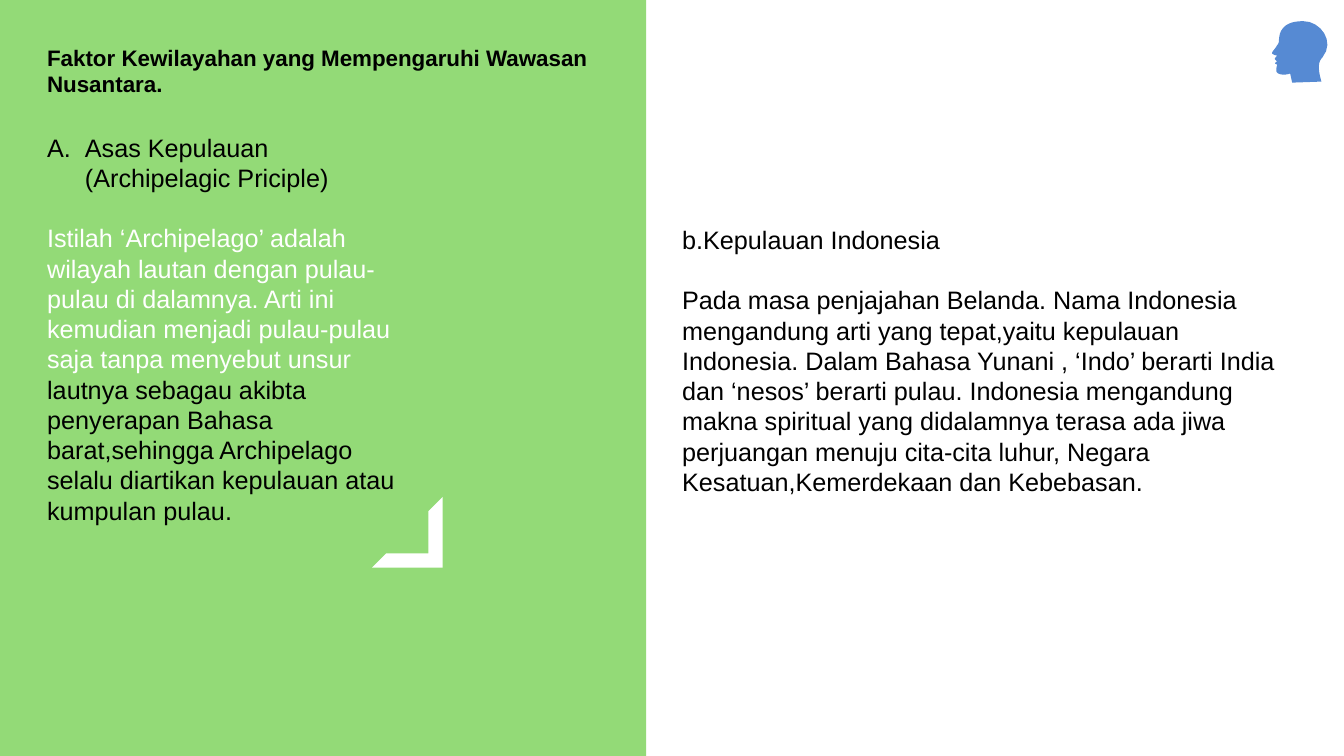
from lxml import etree
from pptx import Presentation
from pptx import util as u
from pptx.dml import color
from pptx.enum import shapes, text
from pptx.oxml import ns

Pt = u.Pt
GREEN, BLUE, WHITE, BLACK = "79D155", "568AD3", "FFFFFF", "000000"
HEAD = [
    [(18, 0), (11, 4), (8, 12)], [(6, 19), (8, 21), (5, 24)],
    [(3, 28), (0, 30), (0, 32)], [(1, 33), (3, 34), (5, 34)],
    [(4, 36), (2, 37), (3, 38)], [(5, 40)],
    [(5, 40), (3, 41), (3, 42)], [(4, 43), (6, 43), (5, 44)],
    [(4, 47), (4, 50), (5, 51)], [(7, 53), (12, 54), (18, 52)],
    [(20, 61)], [(49, 60)],
    [(45, 46), (46, 40), (50, 36)], [(63, 20), (48, 0), (31, 0)],
]


def rgb(code):
    """Turn a hex string into a colour."""
    return color.RGBColor.from_string(code)


def paint(shape, code):
    """Give a shape a flat fill without line or shadow."""
    shape.shadow.inherit = False
    shape.fill.solid()
    shape.fill.fore_color.rgb = rgb(code)
    shape.line.fill.background()


def add_block(slide, kind, box, code):
    """Add a flat preset shape."""
    block = slide.shapes.add_shape(kind, *map(Pt, box))
    paint(block, code)
    return block


def fade(shape, share):
    """Set the opacity of a solid fill in percent."""
    tone = shape.fill._xPr.find(".//" + ns.qn("a:srgbClr"))
    etree.SubElement(tone, ns.qn("a:alpha")).set("val", str(share * 1000))


def add_text(slide, box, paras, size, gap=0, bold=False):
    """Add a text box whose paragraphs are lists of (wording, colour) runs."""
    frame = slide.shapes.add_textbox(*map(Pt, box)).text_frame
    frame.word_wrap = True
    frame.auto_size = text.MSO_AUTO_SIZE.SHAPE_TO_FIT_TEXT
    frame.vertical_anchor = text.MSO_ANCHOR.MIDDLE
    for i, parts in enumerate(paras):
        para = frame.add_paragraph() if i else frame.paragraphs[0]
        para.line_spacing = Pt(size * 1.2)
        para.space_before = Pt(gap if i else 0)
        for words, code in parts:
            run = para.add_run()
            run.text = words
            run.font.name, run.font.size = "Arial", Pt(size)
            run.font.bold = bold
            run.font.color.rgb = rgb(code)
    return frame


def letter(para, indent):
    """Number a paragraph with a capital letter and a hanging indent."""
    props = para._p.get_or_add_pPr()
    props.set("marL", str(Pt(indent)))
    props.set("indent", str(-Pt(indent)))
    mark = etree.SubElement(props, ns.qn("a:buAutoNum"))
    mark.set("type", "alphaUcPeriod")


def bend(points, t):
    """Find the place at t on a Bezier curve of any degree."""
    while len(points) > 1:
        points = [(a + (c - a) * t, b + (d - b) * t)
                  for (a, b), (c, d) in zip(points, points[1:])]
    return points[0]


def add_head(slide, left, top, unit, steps=8):
    """Draw the head in profile, turned left."""
    def place(spot):
        """Scale a spot to the slide."""
        return Pt(left + spot[0] * unit), Pt(top + spot[1] * unit)

    start = (31, 0)
    pen = slide.shapes.build_freeform(*place(start))
    for part in HEAD:
        count = steps if len(part) > 1 else 1
        pen.add_line_segments([place(bend([start] + part, i / count))
                               for i in range(1, count + 1)], close=False)
        start = part[-1]
    pen.add_line_segments([], close=True)
    paint(pen.convert_to_shape(), BLUE)


def main():
    """Build the slide and save it."""
    deck = Presentation()
    deck.slide_width, deck.slide_height = Pt(960), Pt(540)
    slide = deck.slides.add_slide(deck.slide_layouts[6])

    kinds = shapes.MSO_SHAPE
    fade(add_block(slide, kinds.RECTANGLE, (0, 0, 461.5, 540), GREEN), 80)
    frame = add_block(slide, kinds.HALF_FRAME, (265.7, 355, 50.4, 50.4), WHITE)
    frame.rotation = 180
    frame.adjustments[0] = frame.adjustments[1] = 0.2

    add_text(slide, (26.6, 27.4, 441.4, 46), [[(
        "Faktor Kewilayahan yang Mempengaruhi Wawasan Nusantara.", BLACK)]],
        16, bold=True)
    left = add_text(slide, (26.6, 89.3, 270, 290.9), [
        [("Asas Kepulauan (Archipelagic Priciple)", BLACK)],
        [("Istilah ‘Archipelago’ adalah wilayah lautan dengan pulau-pulau "
          "di dalamnya. Arti ini kemudian menjadi pulau-pulau saja tanpa "
          "menyebut unsur ", WHITE),
         ("lautnya sebagau akibta penyerapan Bahasa barat,sehingga "
          "Archipelago selalu diartikan kepulauan atau kumpulan pulau.",
          BLACK)]], 18, gap=21.6)
    letter(left.paragraphs[0], 27)
    add_text(slide, (480.2, 155.5, 448.6, 203.8), [
        [("b.Kepulauan Indonesia", BLACK)],
        [("Pada masa penjajahan Belanda. Nama Indonesia mengandung arti yang "
          "tepat,yaitu kepulauan Indonesia. Dalam Bahasa Yunani , ‘Indo’ "
          "berarti India dan ‘nesos’ berarti pulau. Indonesia mengandung "
          "makna spiritual yang didalamnya terasa ada jiwa perjuangan menuju "
          "cita-cita luhur, Negara Kesatuan,Kemerdekaan dan Kebebasan.",
          BLACK)]], 18, gap=21.6)
    add_head(slide, 908.6, 15.1, 0.72)
    deck.save("out.pptx")


if __name__ == "__main__":
    main()
